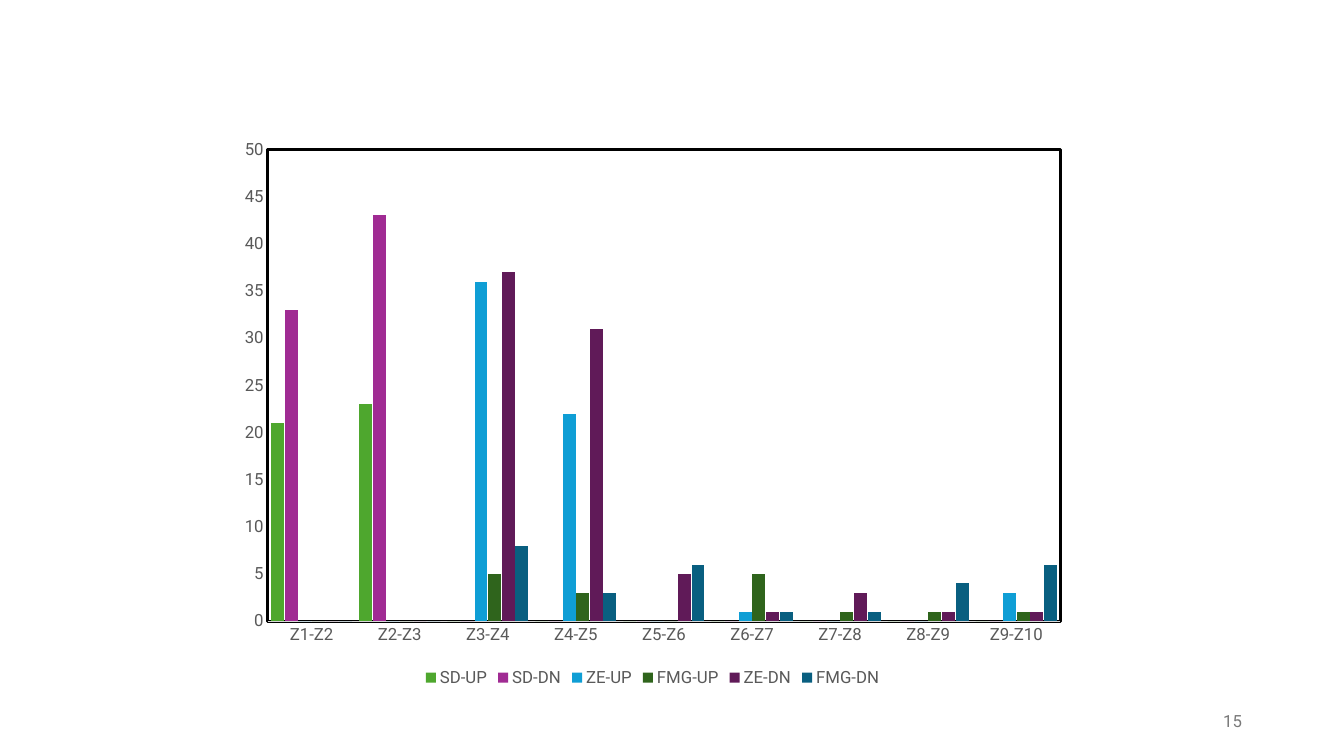
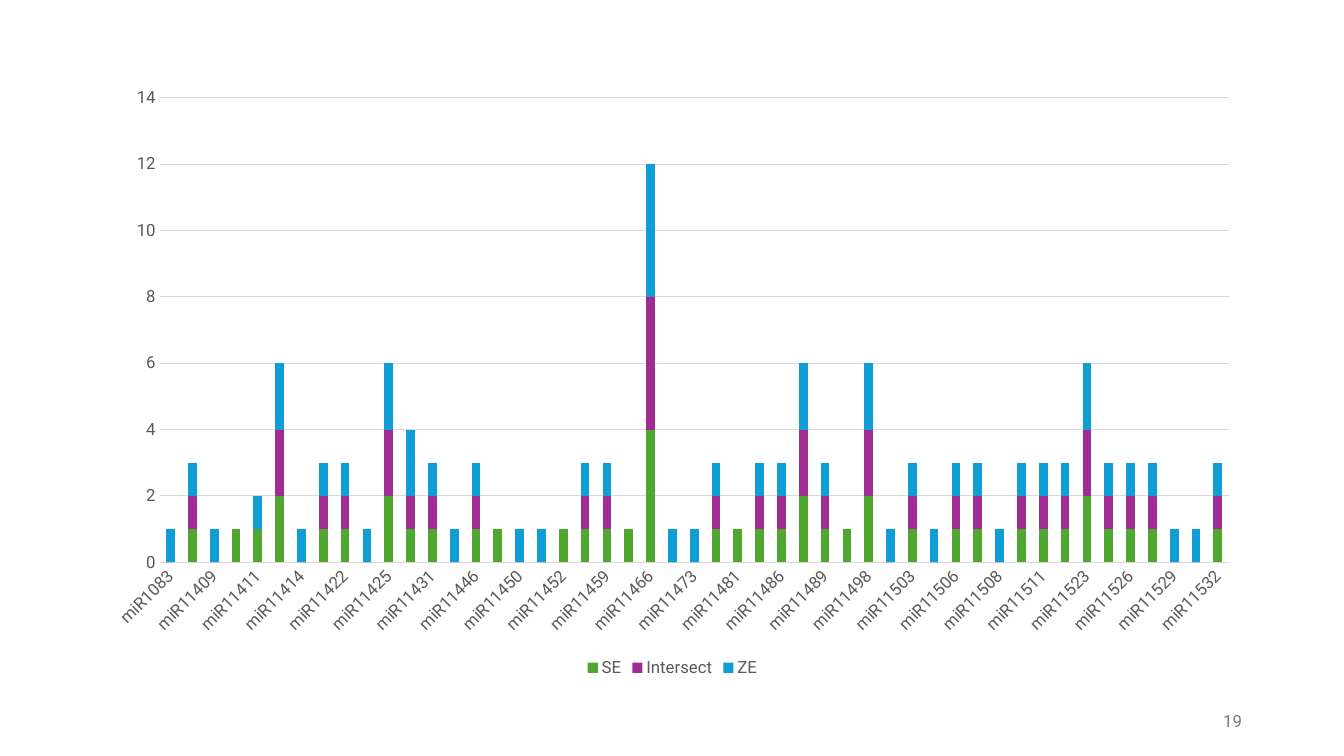
from lxml import etree
from pptx import Presentation
from pptx.chart.data import CategoryChartData
from pptx.dml.color import RGBColor
from pptx.enum import chart as charts, text
from pptx.oxml import ns
from pptx.util import Cm, Pt

FONT = "Roboto"
BLACK = RGBColor(0x00, 0x00, 0x00)
LABEL_GREY = RGBColor(0x59, 0x59, 0x59)
NUMBER_GREY = RGBColor(0x79, 0x79, 0x79)
LINE_GREY = RGBColor(0xD9, 0xD9, 0xD9)
GREEN = RGBColor(0x4E, 0xA7, 0x2E)
PURPLE = RGBColor(0xA0, 0x2B, 0x93)
BLUE = RGBColor(0x0F, 0x9E, 0xD5)
DARK_GREEN = RGBColor(0x2F, 0x64, 0x1C)
DARK_PURPLE = RGBColor(0x60, 0x1A, 0x58)
DARK_BLUE = RGBColor(0x09, 0x5F, 0x80)

ZONE_SERIES = [
    ("SD-UP", GREEN, [21, 23, 0, 0, 0, 0, 0, 0, 0]),
    ("SD-DN", PURPLE, [33, 43, 0, 0, 0, 0, 0, 0, 0]),
    ("ZE-UP", BLUE, [0, 0, 36, 22, 0, 1, 0, 0, 3]),
    ("FMG-UP", DARK_GREEN, [0, 0, 5, 3, 0, 5, 1, 1, 1]),
    ("ZE-DN", DARK_PURPLE, [0, 0, 37, 31, 5, 1, 3, 1, 1]),
    ("FMG-DN", DARK_BLUE, [0, 0, 8, 3, 6, 1, 1, 4, 6]),
]

MIR_NUMBERS = [
    1083, 11407, 11409, 11410, 11411, 11413, 11414, 11419, 11422, 11424,
    11425, 11426, 11431, 11438, 11446, 11447, 11450, 11451, 11452, 11454,
    11459, 11462, 11466, 11469, 11473, 11476, 11481, 11482, 11486, 11487,
    11489, 11493, 11498, 11500, 11503, 11504, 11506, 11507, 11508, 11510,
    11511, 11512, 11523, 11524, 11526, 11528, 11529, 11530, 11532,
]
MIR_SERIES = [
    ("SE", GREEN, [
        0, 1, 0, 1, 1, 2, 0, 1, 1, 0, 2, 1, 1, 0, 1, 1, 0, 0, 1, 1, 1, 1, 4, 0, 0,
        1, 1, 1, 1, 2, 1, 1, 2, 0, 1, 0, 1, 1, 0, 1, 1, 1, 2, 1, 1, 1, 0, 0, 1]),
    ("Intersect", PURPLE, [
        0, 1, 0, 0, 0, 2, 0, 1, 1, 0, 2, 1, 1, 0, 1, 0, 0, 0, 0, 1, 1, 0, 4, 0, 0,
        1, 0, 1, 1, 2, 1, 0, 2, 0, 1, 0, 1, 1, 0, 1, 1, 1, 2, 1, 1, 1, 0, 0, 1]),
    ("ZE", BLUE, [
        1, 1, 1, 0, 1, 2, 1, 1, 1, 1, 2, 2, 1, 1, 1, 0, 1, 1, 0, 1, 1, 0, 4, 1, 1,
        1, 0, 1, 1, 2, 1, 0, 2, 1, 1, 1, 1, 1, 1, 1, 1, 1, 2, 1, 1, 1, 1, 1, 1]),
]

SLIDES = [
    dict(number=15, at=(5.74, 3.23, 21.41, 14.2),
         kind=charts.XL_CHART_TYPE.COLUMN_CLUSTERED,
         categories=[f"Z{zone}-Z{zone + 1}" for zone in range(1, 10)],
         series=ZONE_SERIES, gap=54, overlap=-5, top=50, step=5, framed=True),
    dict(number=19, at=(2.34, 1.91, 29.21, 15.27),
         kind=charts.XL_CHART_TYPE.COLUMN_STACKED,
         categories=[f"miR{number}" for number in MIR_NUMBERS],
         series=MIR_SERIES, gap=150, overlap=100, top=14, step=2,
         grid=True, label_angle=-45),
]


def style_font(font, size=12, color=LABEL_GREY):
    font.name = FONT
    font.size = Pt(size)
    font.color.rgb = color


def style_line(line, color=LINE_GREY, width=0.75):
    line.color.rgb = color
    line.width = Pt(width)


def add_text(slide, words, at, size=12, color=LABEL_GREY, align=text.PP_ALIGN.LEFT):
    box = slide.shapes.add_textbox(*map(Cm, at))
    frame = box.text_frame
    frame.word_wrap = True
    frame.vertical_anchor = text.MSO_ANCHOR.MIDDLE
    para = frame.paragraphs[0]
    para.alignment = align
    span = para.add_run()
    span.text = words
    style_font(span.font, size, color)


def frame_plot(chart, color=BLACK, width=2.25):
    """Outline the plot area, which python-pptx does not expose."""
    area = chart._chartSpace.chart.plotArea
    props = etree.SubElement(area, ns.qn("c:spPr"))
    etree.SubElement(props, ns.qn("a:noFill"))
    line = etree.SubElement(props, ns.qn("a:ln"), w=str(Pt(width)))
    fill = etree.SubElement(line, ns.qn("a:solidFill"))
    etree.SubElement(fill, ns.qn("a:srgbClr"), val=str(color))


def add_column_chart(slide, at, kind, categories, series, gap, overlap, top, step,
                     framed=False, grid=False, label_angle=0):
    data = CategoryChartData()
    data.categories = categories
    for name, _, values in series:
        data.add_series(name, values)
    chart = slide.shapes.add_chart(kind, *map(Cm, at), data).chart
    style_font(chart.font, 10, BLACK)
    chart.has_title = False

    plot = chart.plots[0]
    plot.gap_width, plot.overlap = gap, overlap
    plot.vary_by_categories = False
    for bars, (_, color, _) in zip(plot.series, series):
        bars.format.fill.solid()
        bars.format.fill.fore_color.rgb = color
        bars.invert_if_negative = False

    category_axis, value_axis = chart.category_axis, chart.value_axis
    for axis in (category_axis, value_axis):
        axis.major_tick_mark = axis.minor_tick_mark = charts.XL_TICK_MARK.NONE
        style_font(axis.tick_labels.font)
    style_line(category_axis.format.line)
    if label_angle:
        body = category_axis._element.find(".//" + ns.qn("a:bodyPr"))
        body.set("rot", str(label_angle * 60000))
        body.set("vert", "horz")
    value_axis.format.line.fill.background()
    value_axis.minimum_scale, value_axis.maximum_scale = 0, top
    value_axis.major_unit = step
    value_axis.has_major_gridlines = grid
    if grid:
        style_line(value_axis.major_gridlines.format.line)

    chart.has_legend = True
    chart.legend.position = charts.XL_LEGEND_POSITION.BOTTOM
    chart.legend.include_in_layout = False
    style_font(chart.legend.font)
    if framed:
        frame_plot(chart)


def main():
    deck = Presentation()
    deck.slide_width, deck.slide_height = Cm(33.87), Cm(19.05)
    for page in SLIDES:
        slide = deck.slides.add_slide(deck.slide_layouts[6])
        chart_format = {key: value for key, value in page.items() if key != "number"}
        add_column_chart(slide, **chart_format)
        add_text(slide, str(page["number"]), (23.93, 17.65, 7.62, 1.02),
                 color=NUMBER_GREY, align=text.PP_ALIGN.RIGHT)
    deck.save("out.pptx")


if __name__ == "__main__":
    main()
